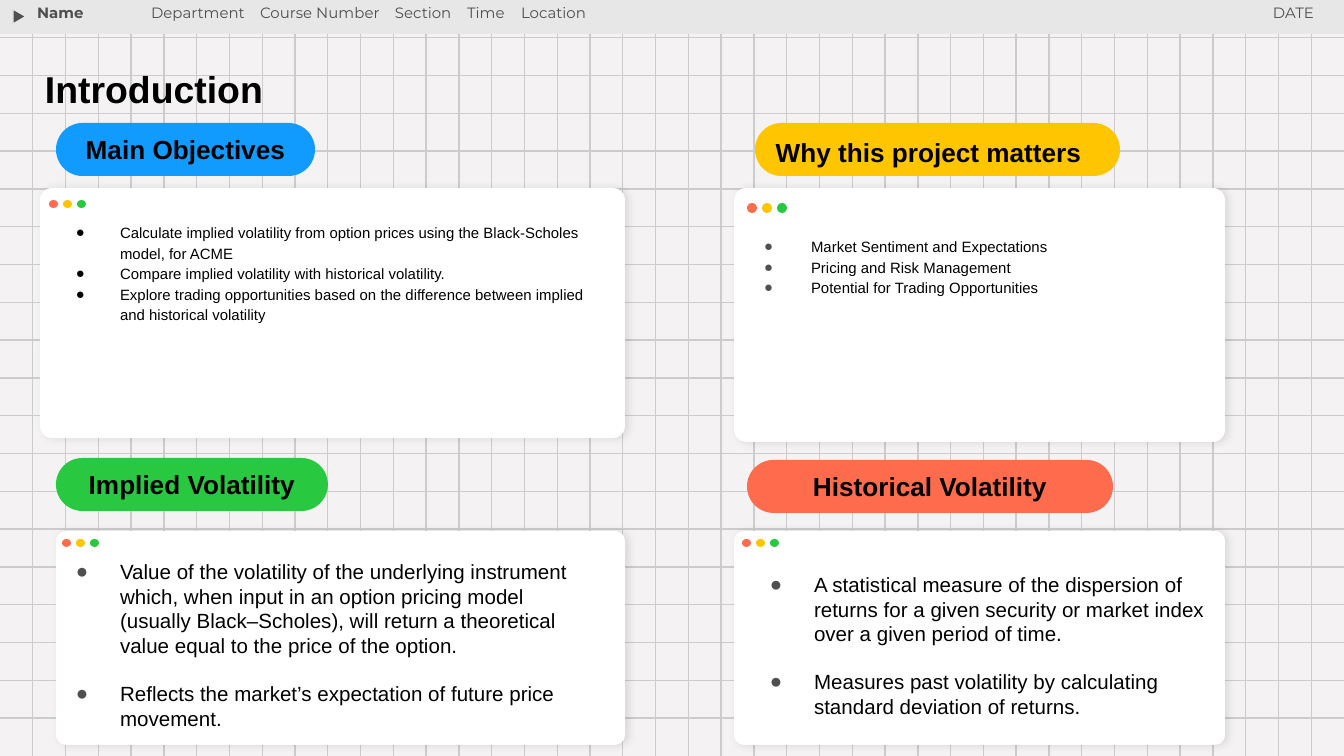
from lxml import etree
from pptx import Presentation
from pptx.dml.color import RGBColor
from pptx.enum.shapes import MSO_CONNECTOR, MSO_SHAPE
from pptx.enum.text import MSO_ANCHOR, PP_ALIGN
from pptx.oxml.ns import qn
from pptx.util import Pt

WIDTH, HEIGHT = 1344, 756
EMU_PER_PX = 9144000 / WIDTH
GRID_COLUMNS, GRID_ROWS = 41, 20
INSET = 13

STRAIGHT = MSO_CONNECTOR.STRAIGHT
RECT, ROUNDED = MSO_SHAPE.RECTANGLE, MSO_SHAPE.ROUNDED_RECTANGLE
OVAL, TRIANGLE = MSO_SHAPE.OVAL, MSO_SHAPE.ISOSCELES_TRIANGLE
LEFT, CENTER, RIGHT = PP_ALIGN.LEFT, PP_ALIGN.CENTER, PP_ALIGN.RIGHT
TOP, MIDDLE = MSO_ANCHOR.TOP, MSO_ANCHOR.MIDDLE

COLORS = {
    "paper": "F4F2F2", "grid": "CCCCCC", "bar": "E7E7E7", "gray": "4F4F4F",
    "white": "FFFFFF", "black": "000000", "blue": "119BFE",
    "yellow": "FFC600", "green": "28C840", "red": "FF6B4D",
}


def px(length):
    return round(length * EMU_PER_PX)


def rgb(name):
    return RGBColor.from_string(COLORS[name])


def add_xml(parent, tag, **attributes):
    return etree.SubElement(parent, qn(tag), attributes)


class Deck:
    def __init__(self):
        self.presentation = Presentation()
        self.presentation.slide_width = px(WIDTH)
        self.presentation.slide_height = px(HEIGHT)
        self.slide = self.presentation.slides.add_slide(self.presentation.slide_layouts[6])
        background = self.slide.background.fill
        background.solid()
        background.fore_color.rgb = rgb("paper")

    def line(self, x1, y1, x2, y2):
        rule = self.slide.shapes.add_connector(STRAIGHT, px(x1), px(y1), px(x2), px(y2))
        rule.line.color.rgb = rgb("grid")
        rule.line.width = Pt(0.75)
        add_xml(rule._element.spPr, "a:effectLst")

    def shape(self, kind, x, y, w, h, color, corner=None):
        shape = self.slide.shapes.add_shape(kind, px(x), px(y), px(w), px(h))
        shape.shadow.inherit = False
        shape.fill.solid()
        shape.fill.fore_color.rgb = rgb(color)
        shape.line.fill.background()
        if corner is not None:
            shape.adjustments[0] = corner
        return shape

    def frame(self, shape, anchor=TOP):
        frame = shape.text_frame
        frame.word_wrap = True
        frame.vertical_anchor = anchor
        frame.margin_left = frame.margin_right = px(INSET)
        frame.margin_top = frame.margin_bottom = px(INSET)
        return frame

    def style(self, paragraph, size, color="black", font="Arial", bold=False, align=LEFT, spacing=1.0):
        paragraph.alignment = align
        paragraph.line_spacing = spacing
        paragraph.font.size = Pt(size)
        paragraph.font.name = font
        paragraph.font.bold = bold
        paragraph.font.color.rgb = rgb(color)

    def text(self, x, y, w, h, words, size, tabs=(), **style):
        box = self.slide.shapes.add_textbox(px(x), px(y), px(w), px(h))
        paragraph = self.frame(box).paragraphs[0]
        paragraph.text = words
        if tabs:
            stops = add_xml(paragraph._p.get_or_add_pPr(), "a:tabLst")
            for stop in tabs:
                add_xml(stops, "a:tab", pos=str(px(stop)), algn="l")
        self.style(paragraph, size, **style)

    def pill(self, x, y, w, color, words, **style):
        pill = self.shape(ROUNDED, x, y, w, 53, color, corner=0.5)
        paragraph = self.frame(pill, MIDDLE).paragraphs[0]
        paragraph.text = words
        self.style(paragraph, 14, bold=True, **style)

    def card(self, x, y, w, h):
        """White panel with a faint shadow to the right."""
        card = self.shape(ROUNDED, x, y, w, h, "white", corner=0.048)
        effects = card._element.spPr.find(qn("a:effectLst"))
        shadow = add_xml(effects, "a:outerShdw", blurRad=str(Pt(4.5)), dist=str(Pt(1.5)),
                         dir="0", algn="bl", rotWithShape="0")
        tint = add_xml(shadow, "a:srgbClr", val=COLORS["black"])
        add_xml(tint, "a:alpha", val="10000")

    def dots(self, x, y, w, h, pitch):
        """Window buttons in a card's corner."""
        for i, color in enumerate(("red", "yellow", "green")):
            self.shape(OVAL, x + i * pitch, y, w, h, color)

    def bullets(self, x, y, w, h, items, size, spacing=1.0, gap=0, hang=44, bullet="gray"):
        box = self.slide.shapes.add_textbox(px(x), px(y), px(w), px(h))
        frame = self.frame(box)
        for i, item in enumerate(items):
            paragraph = frame.add_paragraph() if i else frame.paragraphs[0]
            paragraph.text = item
            properties = paragraph._p.get_or_add_pPr()
            properties.set("marL", str(px(67)))
            properties.set("indent", str(-px(hang)))
            add_xml(add_xml(properties, "a:buClr"), "a:srgbClr", val=COLORS[bullet])
            add_xml(properties, "a:buFont", typeface="Arial")
            add_xml(properties, "a:buChar", char="●")
            if i and gap:
                paragraph.space_before = Pt(gap)
            self.style(paragraph, size, spacing=spacing)


def main():
    deck = Deck()
    for row in range(1, GRID_ROWS):
        y = HEIGHT * row / GRID_ROWS
        deck.line(0, y, WIDTH, y)
    for column in range(1, GRID_COLUMNS):
        x = WIDTH * column / GRID_COLUMNS
        deck.line(x, 0, x, HEIGHT)

    deck.shape(RECT, 0, 0, WIDTH, 34, "bar")
    marker = deck.shape(TRIANGLE, 12, 10, 15, 13, "gray")
    marker.rotation = 90
    marker.line.color.rgb = rgb("bar")
    marker.line.width = Pt(0.75)
    header = {"size": 8, "color": "gray", "font": "Montserrat"}
    deck.text(24, -5, 172, 63, "Name", bold=True, **header)
    course_fields = ("Department", "Course Number", "Section", "Time", "Location")
    deck.text(138, -5, 560, 63, "\t".join(course_fields), tabs=(109, 244, 316, 370), **header)
    deck.text(1103, -5, 224, 63, "DATE", align=RIGHT, **header)
    deck.text(32, 58, 1110, 67, "Introduction", 20, bold=True, spacing=0.9)

    deck.card(40, 188, 585, 250)
    deck.card(734, 188, 491, 254)
    deck.card(56, 531, 569, 214)
    deck.card(734, 531, 491, 214)

    deck.dots(49, 200, 9, 8, 14)
    deck.dots(747, 203, 10, 10, 15)
    deck.dots(62, 539, 9, 8, 14)
    deck.dots(742, 539, 9, 8, 14)

    deck.pill(56, 123, 259, "blue", "Main Objectives", align=CENTER)
    deck.pill(755, 123, 365, "yellow", "Why this project matters", spacing=1.15)
    deck.pill(56, 458, 272, "green", "Implied Volatility", align=CENTER)
    deck.pill(747, 460, 366, "red", "Historical Volatility", align=CENTER)

    deck.bullets(40, 208, 573, 242, (
        "Calculate implied volatility from option prices using the Black-Scholes model, for ACME",
        "Compare implied volatility with historical volatility.",
        "Explore trading opportunities based on the difference between implied and historical volatility",
    ), 8, spacing=1.15, bullet="black")
    deck.bullets(731, 222, 573, 132, (
        "Market Sentiment and Expectations",
        "Pricing and Risk Management",
        "Potential for Trading Opportunities",
    ), 8, spacing=1.15, hang=47)
    deck.bullets(40, 546, 573, 202, (
        "Value of the volatility of the underlying instrument which, when input in an option pricing "
        "model (usually Black–Scholes), will return a theoretical value equal to the price of the option.",
        "Reflects the market’s expectation of future price movement.",
    ), 11, gap=12.6)
    deck.bullets(734, 559, 500, 176, (
        "A statistical measure of the dispersion of returns for a given security or market index "
        "over a given period of time.",
        "Measures past volatility by calculating standard deviation of returns.",
    ), 11, gap=12.6)

    deck.presentation.save("out.pptx")


if __name__ == "__main__":
    main()
